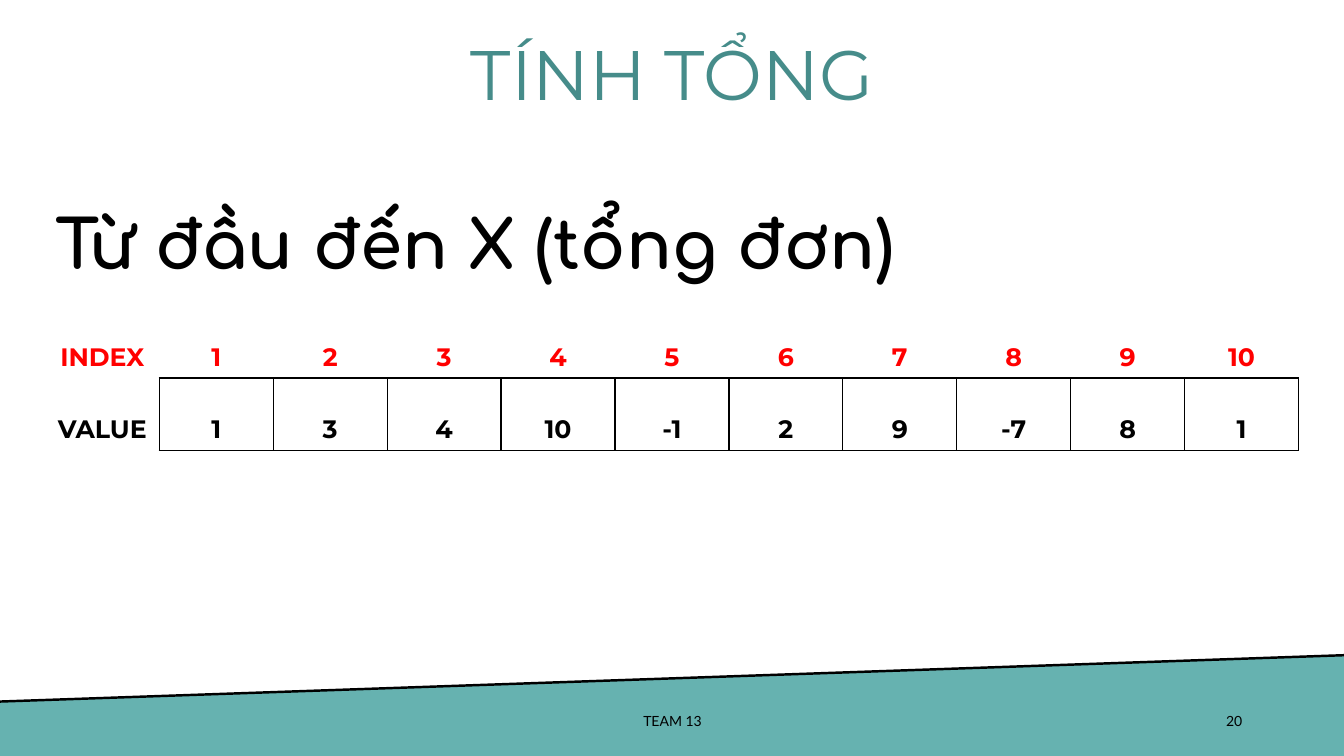
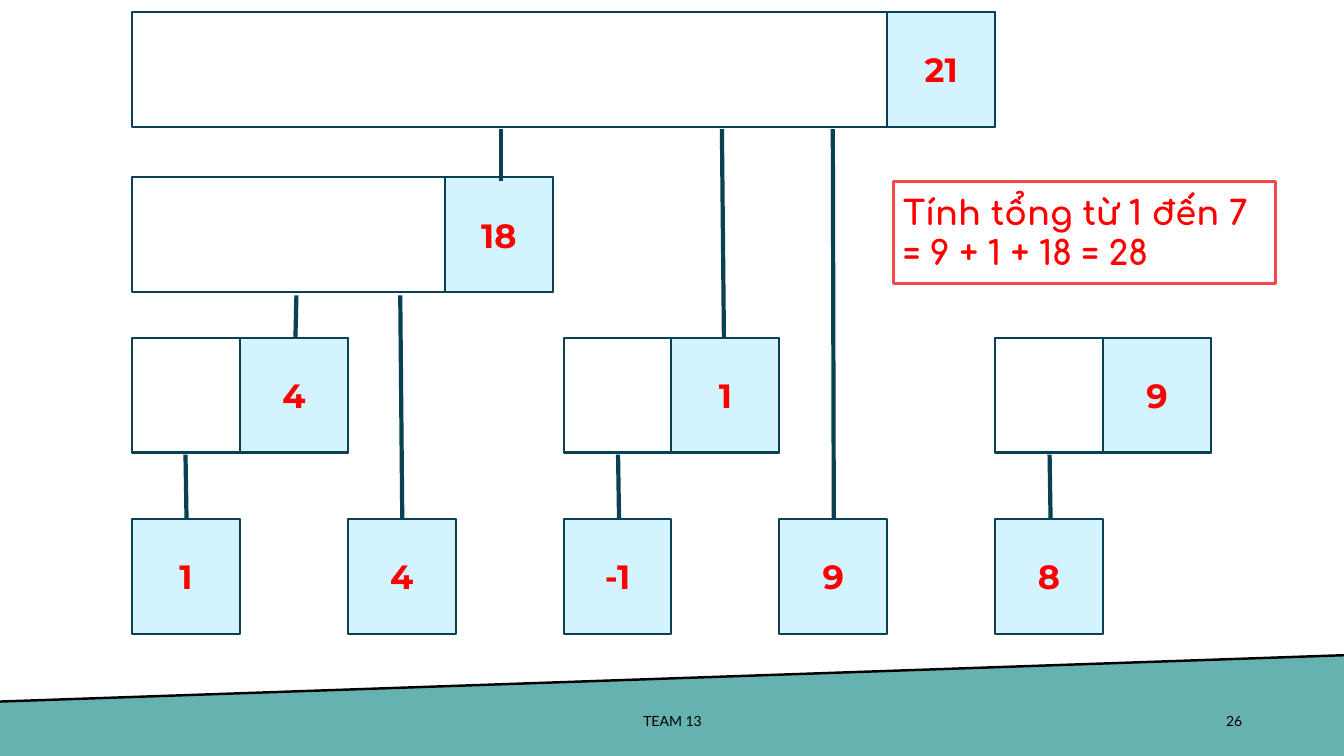
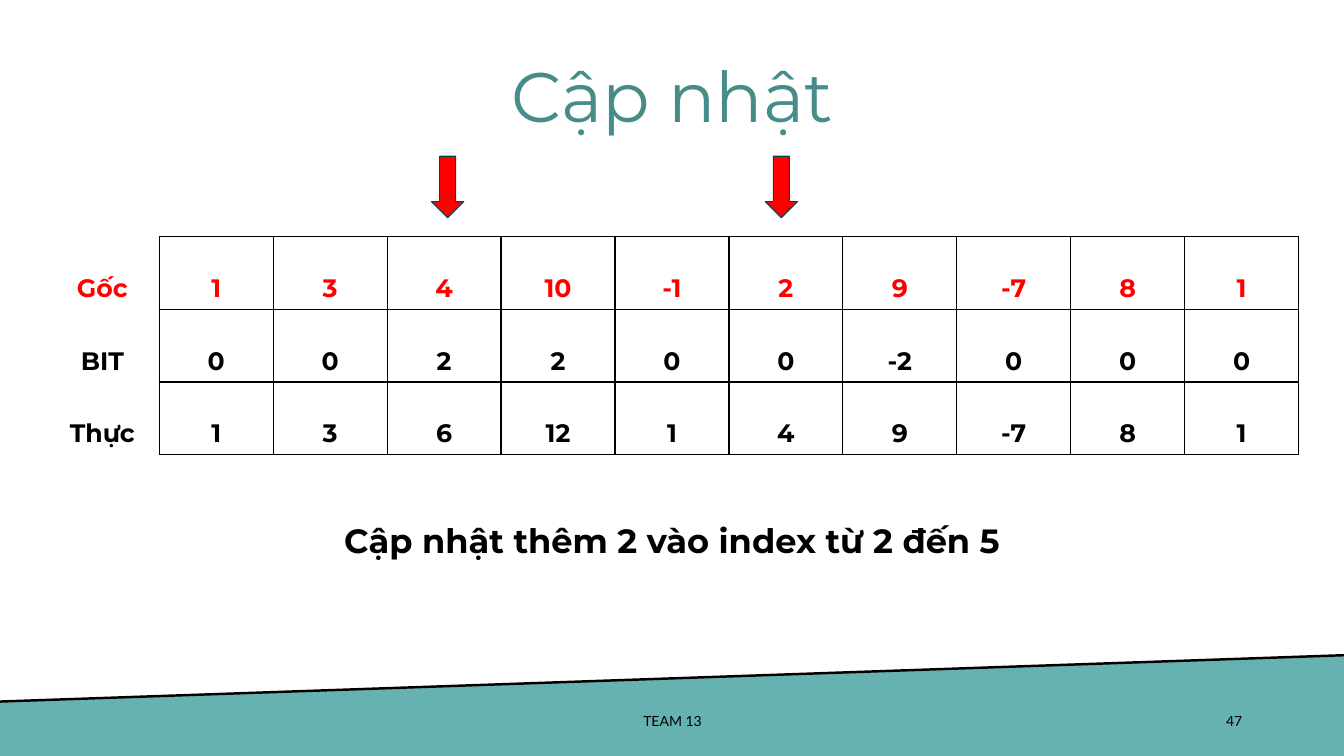
from lxml.etree import SubElement
from pptx import Presentation
from pptx.dml.color import RGBColor
from pptx.enum.shapes import MSO_CONNECTOR as Connector, MSO_SHAPE as Shape
from pptx.enum.text import MSO_ANCHOR as Anchor, MSO_AUTO_SIZE as AutoSize, PP_ALIGN as Align
from pptx.oxml.ns import qn
from pptx.util import Inches, Pt

COLORS = {
    "band": "66B2B0", "title": "468C8A", "black": "000000", "red": "FF0000",
    "navy": "0A4054", "cell": "D3F4FF", "frame": "F2494C",
}
WIDTH, HEIGHT = 13.33, 7.5
BAND_LEFT, BAND_RIGHT = 6.96, 6.5
TITLE_ONLY, BLANK = 5, 6
NO_STYLE = "{2D5ABB26-0587-4C30-8999-92F81FD0307C}"


def rgb(name):
    return RGBColor.from_string(COLORS[name])


class Deck:
    def __init__(self):
        self.deck = Presentation()
        self.deck.slide_width, self.deck.slide_height = Inches(WIDTH), Inches(HEIGHT)
        self.page = None

    def add_page(self, number, title=None, title_top=0):
        layout = BLANK if title is None else TITLE_ONLY
        self.page = self.deck.slides.add_slide(self.deck.slide_layouts[layout])
        self.band()
        if title is not None:
            self.title(title, title_top)
        self.text("TEAM 13", 4.42, 6.95, 4.5, 0.4, 10, "Lato", bold=False)
        self.text(number, 9.42, 6.95, 3, 0.4, 10, "Lato", bold=False, align=Align.RIGHT)

    def band(self):
        builder = self.page.shapes.build_freeform(0, Inches(BAND_LEFT))
        corners = [(WIDTH, BAND_RIGHT), (WIDTH, HEIGHT), (0, HEIGHT)]
        builder.add_line_segments([(Inches(x), Inches(y)) for x, y in corners])
        self.paint(builder.convert_to_shape(), "band")
        self.line(WIDTH, BAND_RIGHT, 0, BAND_LEFT, "black", 1.75)

    def title(self, text, top):
        box = self.page.shapes.title
        box.left, box.top, box.width, box.height = map(Inches, (1.9, top, 9.54, 1.03))
        self.fill_text(box.text_frame, text, 50, "Montserrat", "title", bold=False, spacing=0.9)

    def paint(self, shape, fill=None, line=None, weight=1.5):
        shape.shadow.inherit = False
        if fill:
            shape.fill.solid()
            shape.fill.fore_color.rgb = rgb(fill)
        else:
            shape.fill.background()
        if line:
            shape.line.color.rgb = rgb(line)
            shape.line.width = Pt(weight)
        else:
            shape.line.fill.background()

    def fill_text(self, frame, text, size, font="Montserrat", color="black", bold=True,
                  align=Align.CENTER, anchor=Anchor.MIDDLE, spacing=None, margin=0.05):
        frame.text = text
        frame.word_wrap = True
        frame.auto_size = AutoSize.NONE
        frame.vertical_anchor = anchor
        frame.margin_left = frame.margin_right = Inches(0.1)
        frame.margin_top = frame.margin_bottom = Inches(margin)
        for para in frame.paragraphs:
            self.style(para, size, font, color, bold, align, spacing)

    def style(self, para, size, font, color, bold, align, spacing):
        para.alignment = align
        if spacing:
            para.line_spacing = spacing
        para.font.size, para.font.name, para.font.bold = Pt(size), font, bold
        para.font.color.rgb = rgb(color)

    def text(self, text, left, top, width, height, size, font="Montserrat", **options):
        box = self.page.shapes.add_textbox(*map(Inches, (left, top, width, height)))
        self.fill_text(box.text_frame, text, size, font, **options)

    def shape(self, left, top, width, height, fill=None, line="navy", weight=1.5,
              kind=Shape.RECTANGLE):
        shape = self.page.shapes.add_shape(kind, *map(Inches, (left, top, width, height)))
        self.paint(shape, fill, line, weight)
        return shape

    def line(self, x1, y1, x2, y2, color="navy", weight=3):
        line = self.page.shapes.add_connector(
            Connector.STRAIGHT, *map(Inches, (x1, y1, x2, y2)))
        line.line.color.rgb = rgb(color)
        line.line.width = Pt(weight)
        SubElement(line._element.spPr, qn("a:effectLst"))

    def table(self, top, rows, first_ruled=0):
        """Label column and value columns; the first row is red."""
        column, row = 1.13, 0.72
        count = len(rows[0])
        frame = self.page.shapes.add_table(
            len(rows), count, Inches(0.45), Inches(top),
            Inches(column * count), Inches(row * len(rows)))
        table = frame.table
        table.first_row = table.horz_banding = False
        frame._element.xpath(".//a:tableStyleId")[0].text = NO_STYLE
        for r, values in enumerate(rows):
            table.rows[r].height = Inches(row)
            for c, value in enumerate(values):
                table.columns[c].width = Inches(column)
                cell = table.cell(r, c)
                cell.text = str(value)
                cell.vertical_anchor = Anchor.MIDDLE
                self.style(cell.text_frame.paragraphs[0], 18, "Montserrat",
                           "black" if r else "red", True, Align.CENTER, 2.0)
                if c and r >= first_ruled:
                    cell.margin_left = cell.margin_right = Inches(0.07)
                    cell.margin_top = cell.margin_bottom = 0
                    self.rule(cell)
                cell.fill.background()

    def rule(self, cell):
        properties = cell._tc.get_or_add_tcPr()
        for side in ("lnL", "lnR", "lnT", "lnB"):
            edge = SubElement(properties, qn(f"a:{side}"), w=str(Pt(1)))
            fill = SubElement(edge, qn("a:solidFill"))
            SubElement(fill, qn("a:srgbClr"), val=COLORS["black"])


def add_sum_page(deck, values):
    deck.add_page("20", "TÍNH TỔNG", 0.26)
    deck.text("Từ đầu đến X (tổng đơn)", 0.45, 1.56, 8.87, 1.2, 48, "Comfortaa",
              align=Align.LEFT, anchor=Anchor.TOP, spacing=1.5)
    deck.table(3.03, [["INDEX", *range(1, 11)], ["VALUE", *values]], first_ruled=1)


def add_tree_page(deck):
    deck.add_page("26")
    left, width, height = 1.31, 1.07, 1.14

    # Ranges: top, then first column, columns covered and sum
    levels = [
        (0.12, [(0, 8, 21)]),
        (1.76, [(0, 3.9, 18)]),
        (3.35, [(0, 2, 4), (4, 2, 1), (8, 2, 9)]),
        (5.15, [(0, 1, 1), (2, 1, 4), (4, 1, -1), (6, 1, 9), (8, 1, 8)]),
    ]
    for top, ranges in levels:
        for first, span, total in ranges:
            if span > 1:
                deck.shape(left + first * width, top, span * width, height)
            cell = deck.shape(left + (first + span - 1) * width, top, width, height, "cell")
            deck.fill_text(cell.text_frame, str(total), 24, color="red", margin=0.1)

    # Links from each part up to its range
    links = [
        (1.85, 5.15, 1.84, 4.51), (6.14, 5.15, 6.13, 4.51), (10.42, 5.15, 10.41, 4.51),
        (3.99, 5.15, 3.97, 2.93), (2.93, 3.36, 2.94, 2.93), (8.27, 5.15, 8.26, 1.28),
        (7.18, 3.36, 7.16, 1.28), (4.97, 1.8, 4.97, 1.28),
    ]
    for link in links:
        deck.line(*link)

    # Worked sum
    answer = deck.shape(8.86, 1.8, 3.79, 1.01, line="frame", weight=2.25)
    deck.fill_text(answer.text_frame, "Tính tổng từ 1 đến 7\n= 9 + 1 + 18 = 28", 24,
                   "Comfortaa", "red", align=Align.LEFT, anchor=Anchor.TOP, margin=0.1)


def add_update_page(deck, values):
    deck.add_page("47", "Cập nhật", 0.48)
    deck.table(2.35, [
        ["Gốc", *values],
        ["BIT", 0, 0, 2, 2, 0, 0, -2, 0, 0, 0],
        ["Thực", 1, 3, 6, 12, 1, 4, 9, -7, 8, 1],
    ])
    deck.text("Cập nhật thêm 2 vào index từ 2 đến 5", 2.02, 5.05, 9.29, 0.61, 24, margin=0.1)
    for left in (4.28, 7.59):
        deck.shape(left, 1.55, 0.32, 0.61, "red", weight=0.75, kind=Shape.DOWN_ARROW)


def main():
    deck = Deck()
    values = [1, 3, 4, 10, -1, 2, 9, -7, 8, 1]
    add_sum_page(deck, values)
    add_tree_page(deck)
    add_update_page(deck, values)
    deck.deck.save("out.pptx")


if __name__ == "__main__":
    main()
